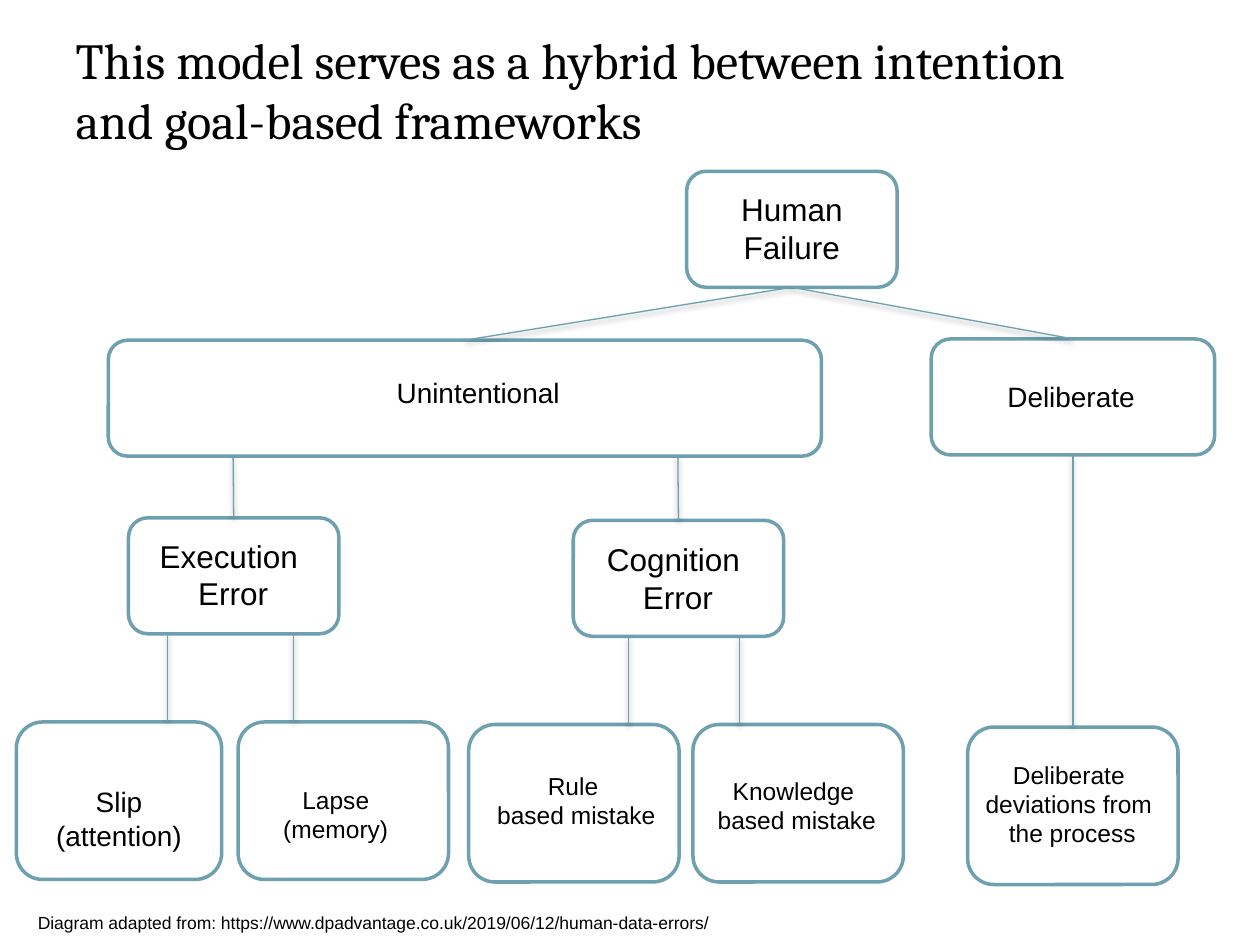
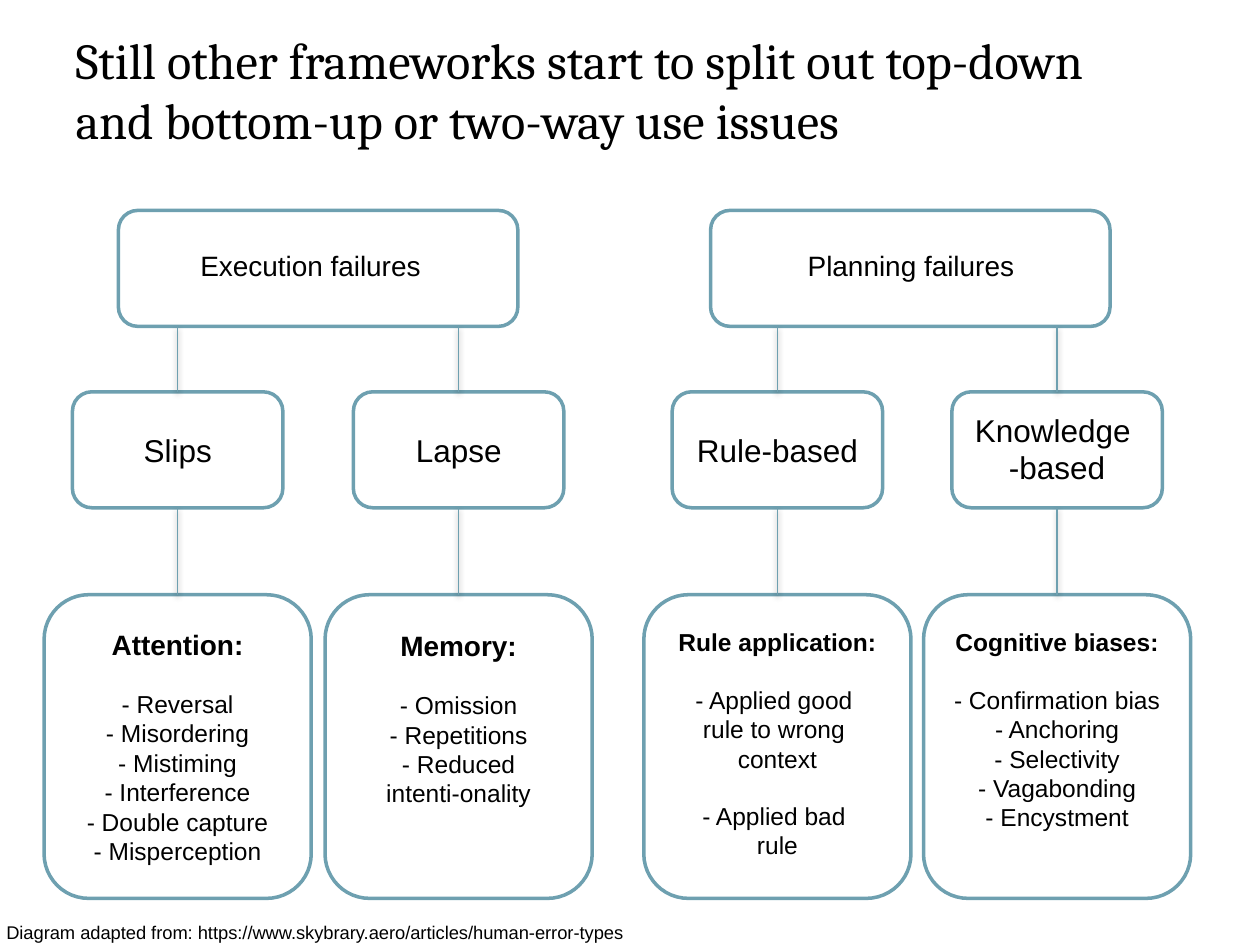
import pptx
import pptx.util
import pptx.dml.color
import pptx.enum.shapes
import pptx.enum.text
import lxml.etree

Inches, Pt = pptx.util.Inches, pptx.util.Pt
RGBColor = pptx.dml.color.RGBColor
Align = pptx.enum.text.PP_ALIGN
AutoSize = pptx.enum.text.MSO_AUTO_SIZE

# Shared look
TEAL = RGBColor(0x6E, 0xA0, 0xB0)
WHITE = RGBColor(0xFF, 0xFF, 0xFF)
BLACK = RGBColor(0, 0, 0)
TITLE_FONT, BODY_FONT = "Cambria", "Arial"
BOX_W, BOX_H = 1.67, 0.92
SHADOW = """
<a:effectLst xmlns:a="http://schemas.openxmlformats.org/drawingml/2006/main">
  <a:outerShdw blurRad="38100" dist="20320" dir="5400000" rotWithShape="0">
    <a:srgbClr val="000000"><a:alpha val="38000"/></a:srgbClr>
  </a:outerShdw>
</a:effectLst>"""

# Slide 1: name -> box (left, top, width, height), label lines, size,
# label (left, top, width)
HYBRID_TITLE = "This model serves as a hybrid between intention and goal-based frameworks"
HYBRID_SOURCE = ("Diagram adapted from: "
                 "https://www.dpadvantage.co.uk/2019/06/12/human-data-errors/")
HYBRID_CAUSES = {
    "failure": ((5.45, 1.36, BOX_W, BOX_H), ["Human", "Failure"], 18, (5.83, 1.46, 0.91)),
    "unintentional": ((0.86, 2.7, 5.66, BOX_H), ["Unintentional"], 16, (3.09, 2.93, 1.41)),
    "deliberate": ((7.39, 2.69, 2.25, BOX_H), ["Deliberate"], 16, (7.94, 2.96, 1.12)),
    "execution": ((1.02, 4.11, BOX_W, BOX_H), ["Execution ", "Error"], 18, (1.21, 4.21, 1.28)),
    "cognition": ((4.55, 4.13, BOX_W, BOX_H), ["Cognition ", "Error"], 18, (4.76, 4.24, 1.24)),
}
HYBRID_OUTCOMES = {
    "slip": ((0.13, 5.73, 1.63, 1.25), ["Slip", "(attention)"], 16, (0.13, 6.18, 1.63)),
    "lapse": ((1.89, 5.73, BOX_W, 1.25), ["Lapse", "(memory)"], 14, (1.85, 6.18, 1.63)),
    "rule": ((3.72, 5.75, BOX_W, 1.25), ["Rule ", "based mistake"], 14, (3.79, 6.07, 1.57)),
    "knowledge": ((5.5, 5.75, BOX_W, 1.25), ["Knowledge ", "based mistake"], 14,
                  (5.54, 6.11, 1.57)),
    "deviation": ((7.68, 5.77, BOX_W, 1.25),
                  ["Deliberate ", "deviations from ", "the process"], 14, (7.7, 5.98, 1.62)),
}
# Parent, child, x at the parent, x at the child (None = middle of the side)
HYBRID_LINKS = [
    ("failure", "unintentional", None, None),
    ("failure", "deliberate", None, None),
    ("deliberate", "deviation", None, None),
    ("unintentional", "execution", 1.85, None),
    ("unintentional", "cognition", 5.38, None),
    ("execution", "slip", 1.33, 1.33),
    ("execution", "lapse", 2.33, 2.33),
    ("cognition", "rule", 4.99, 4.99),
    ("cognition", "knowledge", 5.87, 5.87),
]

# Slide 2: families of failures, each with two columns
SPLIT_TITLE = ("Still other frameworks start to split out top-down "
               "and bottom-up or two-way use issues")
SPLIT_SOURCE = ("Diagram adapted from: "
                "https://www.skybrary.aero/articles/human-error-types")
FAMILIES = [
    {"name": "Execution failures", "left": 0.94, "label": (1.53, 1.92, 1.87), "types": [
        {"name": ["Slips"], "middle": 1.41, "label": (3.37, 0.65),
         "heading": "Attention:", "heading_size": 16, "card": (4.93, 1.63),
         "groups": [["- Reversal", "- Misordering", "- Mistiming", "- Interference",
                     "- Double capture", "- Misperception"]]},
        {"name": ["Lapse"], "middle": 3.64, "label": (3.37, 0.79),
         "heading": "Memory:", "heading_size": 16, "card": (4.94, 1.63),
         "groups": [["- Omission", "- Repetitions", "- Reduced intenti-onality"]]}]},
    {"name": "Planning failures", "left": 5.64, "label": (6.35, 1.92, 1.76), "types": [
        {"name": ["Rule-based"], "middle": 6.17, "label": (3.37, 1.39),
         "heading": "Rule application:", "heading_size": 14, "card": (4.93, 1.78),
         "groups": [["- Applied good ", "rule to wrong ", "context"],
                    ["- Applied bad ", "rule"]]},
        {"name": ["Knowledge ", "-based"], "middle": 8.39, "label": (3.21, 1.42),
         "heading": "Cognitive biases:", "heading_size": 14, "card": (4.93, 1.75),
         "groups": [["- Confirmation bias", "- Anchoring", "- Selectivity",
                     "- Vagabonding", "- Encystment"]]}]},
]
FAMILY_TOP, FAMILY_W = 1.67, 3.17
TYPE_TOP = 3.11
CARD_TOP, CARD_W, CARD_H = 4.72, 2.12, 2.41
ITEM_SIZE, GROUP_GAP = 14, 16


def style_runs(paragraph, size, font=BODY_FONT, bold=False):
    for run in paragraph.runs:
        run.font.size, run.font.name, run.font.bold = Pt(size), font, bold
        run.font.color.rgb = BLACK


def add_titled_slide(deck, title):
    slide = deck.slides.add_slide(deck.slide_layouts[5])
    heading = slide.shapes.title
    heading.left, heading.top = Inches(0.5), Inches(0.42)
    heading.width, heading.height = Inches(8.62), Inches(0.58)
    frame = heading.text_frame
    frame.text = title
    frame.word_wrap, frame.auto_size = True, AutoSize.NONE
    frame.vertical_anchor = pptx.enum.text.MSO_ANCHOR.MIDDLE
    frame.paragraphs[0].alignment = Align.LEFT
    style_runs(frame.paragraphs[0], 28.8, TITLE_FONT)
    return slide


def add_box(slide, left, top, width, height):
    box = slide.shapes.add_shape(
        pptx.enum.shapes.MSO_SHAPE.ROUNDED_RECTANGLE,
        Inches(left), Inches(top), Inches(width), Inches(height))
    box.shadow.inherit = False
    box.fill.solid()
    box.fill.fore_color.rgb = WHITE
    box.line.color.rgb = TEAL
    box.line.width = Pt(2)
    return box


def add_label(slide, lines, size, left, top, width, wrap=False, align=Align.CENTER):
    height = 0.1 + len(lines) * size * 1.2 / 72
    label = slide.shapes.add_textbox(Inches(left), Inches(top), Inches(width), Inches(height))
    frame = label.text_frame
    frame.margin_left = frame.margin_right = Inches(0.05)
    frame.margin_top = frame.margin_bottom = Inches(0.05)
    frame.word_wrap, frame.auto_size = wrap, AutoSize.SHAPE_TO_FIT_TEXT
    frame.text = "\n".join(lines)
    for paragraph in frame.paragraphs:
        paragraph.alignment = align
        style_runs(paragraph, size)
    return label


def add_link(slide, parent, child, parent_x=None, child_x=None):
    """Line from a parent's bottom to a child's top, joined where it meets a middle."""
    start = parent.left + parent.width // 2 if parent_x is None else Inches(parent_x)
    end = child.left + child.width // 2 if child_x is None else Inches(child_x)
    link = slide.shapes.add_connector(
        pptx.enum.shapes.MSO_CONNECTOR.STRAIGHT,
        start, parent.top + parent.height, end, child.top)
    if parent_x is None:
        link.begin_connect(parent, 2)
    if child_x is None:
        link.end_connect(child, 0)
    link.line.color.rgb = TEAL
    link.line.width = Pt(0.75)
    link._element.spPr.append(lxml.etree.fromstring(SHADOW))


def add_card_text(slide, kind):
    top, width = kind["card"]
    items = [item for group in kind["groups"] for item in group]
    label = add_label(slide, [kind["heading"]] + items, ITEM_SIZE,
                      kind["middle"] - width / 2, top, width, wrap=True)
    paragraphs = label.text_frame.paragraphs
    style_runs(paragraphs[0], kind["heading_size"], bold=True)
    first = 1
    for group in kind["groups"]:
        paragraphs[first].space_before = Pt(GROUP_GAP)
        first += len(group)
    label.height += Pt(GROUP_GAP * len(kind["groups"]))


def build_hybrid(deck):
    slide = add_titled_slide(deck, HYBRID_TITLE)
    nodes = {**HYBRID_CAUSES, **HYBRID_OUTCOMES}
    boxes = {name: add_box(slide, *node[0]) for name, node in nodes.items()}
    for parent, child, parent_x, child_x in HYBRID_LINKS:
        add_link(slide, boxes[parent], boxes[child], parent_x, child_x)
    for name, (_, lines, size, place) in nodes.items():
        add_label(slide, lines, size, *place, wrap=name in HYBRID_OUTCOMES)
    add_label(slide, [HYBRID_SOURCE], 10, 0.25, 7.19, 5.47, align=Align.LEFT)


def build_split(deck):
    slide = add_titled_slide(deck, SPLIT_TITLE)
    for family in FAMILIES:
        family_box = add_box(slide, family["left"], FAMILY_TOP, FAMILY_W, BOX_H)
        add_label(slide, [family["name"]], 16, *family["label"])
        for kind in family["types"]:
            middle = kind["middle"]
            type_box = add_box(slide, middle - BOX_W / 2, TYPE_TOP, BOX_W, BOX_H)
            card = add_box(slide, middle - CARD_W / 2, CARD_TOP, CARD_W, CARD_H)
            add_link(slide, family_box, type_box, parent_x=middle)
            add_link(slide, type_box, card)
            top, width = kind["label"]
            add_label(slide, kind["name"], 18, middle - width / 2, top, width)
            add_card_text(slide, kind)
    add_label(slide, [SPLIT_SOURCE], 10.5, 0, 7.26, 5.11, align=Align.LEFT)


def main():
    deck = pptx.Presentation()
    deck.slide_width, deck.slide_height = Inches(10), Inches(7.5)
    build_hybrid(deck)
    build_split(deck)
    deck.save("out.pptx")


if __name__ == "__main__":
    main()
